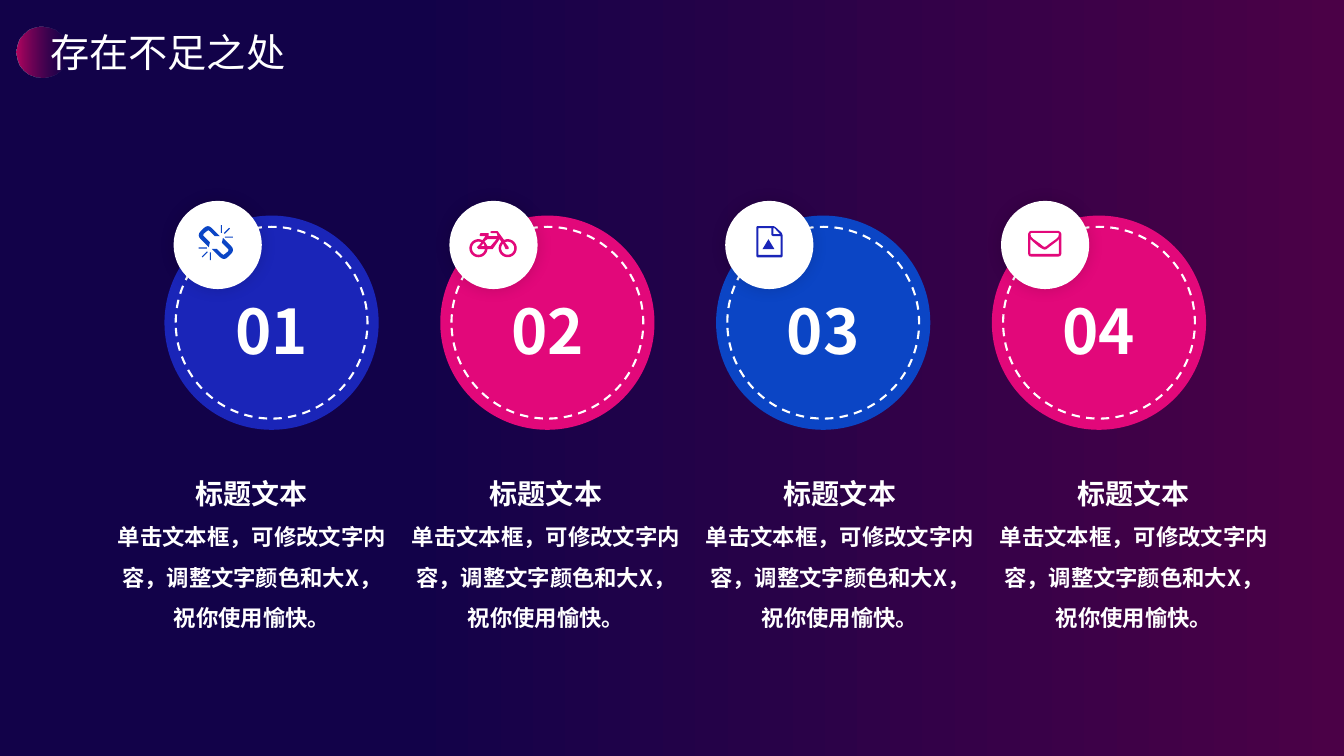
from math import cos, radians, sin

from lxml import etree
from pptx import Presentation
from pptx.dml.color import RGBColor
from pptx.enum.dml import MSO_LINE_DASH_STYLE as Dash
from pptx.enum.shapes import MSO_SHAPE as Shape
from pptx.enum.text import MSO_ANCHOR as Anchor, MSO_AUTO_SIZE as AutoSize, PP_ALIGN as Align
from pptx.oxml.ns import qn
from pptx.util import Pt

FONT = "Noto Sans CJK SC"
WHITE, NAVY, BLUE, PINK = "FFFFFF", "1A25B8", "0B45C5", "E2087A"
TITLE = "存在不足之处"
HEADING = "标题文本"
DETAIL = "单击文本框，可修改文字内容，调整文字颜色和大X，祝你使用愉快。"

FIRST_DISC, DISC_STEP, DISC_TOP, DISC_SIZE = 117.5, 197, 154, 153
RING_INSET = 8
BADGE_SHIFT, BADGE_TOP, BADGE_SIZE = 6.5, 143.5, 63
NUMBER_TOP, NUMBER_WIDTH, NUMBER_HEIGHT = 206, 132, 60.5
FIRST_TEXT, TEXT_STEP, TEXT_TOP, TEXT_WIDTH, TEXT_HEIGHT = 75.5, 210, 324.7, 209, 131
ICON_UNIT = 0.72


def arc(x, y, radius, start, end, steps=24):
    angles = [radians(start + (end - start) * step / steps) for step in range(steps + 1)]
    return [(x + radius * cos(angle), y + radius * sin(angle)) for angle in angles]


def half_turn(contour, width, height):
    return [(width - x, height - y) for x, y in contour]


# Icon contours, in units of ICON_UNIT
HALF_CHAIN = [
    [(16, 11), (11, 6), (9.5, 5), (8, 6), (5, 8.5), (4.3, 10), (5, 11), (11, 17),
     (10, 22), (9, 21), (2, 14), (0.5, 12), (0, 10), (0.5, 8), (2, 6), (5, 3),
     (7, 1.5), (9, 1), (11, 1.5), (13, 3), (20, 10), (21, 11)],
    [(0, 22.2), (8, 22.2), (8, 23.2), (0, 23.2)],
    [(3, 31.2), (8.2, 26), (9, 26.8), (3.8, 32)],
    [(11, 27), (12, 27), (12, 34.6), (11, 34.6)],
]
CHAIN = HALF_CHAIN + [half_turn(contour, 34, 34.6) for contour in HALF_CHAIN]
BICYCLE = [
    arc(38, 17, 9, -114, 225) + [(30, 8), (23, 18), (18, 18)] + arc(9, 17, 9, 6, 297)
    + [(16, 5), (11, 5), (10, 4), (11, 2), (19, 2), (19, 5), (28, 5), (27, 2),
       (22, 2), (20.5, 1), (22, 0), (28, 0)],
    [(9, 18), (7.5, 16)] + arc(9, 17, 6.5, -62, -352),
    [(15, 15), (14, 12), (11.5, 15)],
    [(27, 8), (18, 8), (15, 10), (18, 15), (21, 15)],
    [(39, 16), (39, 17.5), (38, 18), (36, 18)] + arc(38, 17, 6.5, 225, -115),
]
DOCUMENT = [
    [(26, 9), (26, 30), (25, 31), (1, 31), (0, 30), (0, 1), (1, 0), (17, 0),
     (19, 1), (25, 6.5)],
    [(24, 10), (16.5, 10), (15, 9), (15, 2), (2, 2), (2, 28.5), (24, 28.5)],
    [(17, 8), (24, 8), (23, 7.5), (18, 2), (17, 2)],
    [(12, 13), (18, 23), (6, 23)],
]
ENVELOPE = [
    [(33, 23), (32, 25), (30, 25.6), (3, 25.6), (1, 25), (0, 23), (0, 3), (1, 1),
     (3, 0), (30, 0), (32, 1), (33, 3)],
    [(30, 2.2), (3, 2.2), (2.2, 3), (3, 6), (5, 8), (12, 13), (15, 15.5), (16.5, 16),
     (18, 15.5), (21, 13), (28, 8), (30, 6), (30.6, 3)],
    [(30.6, 8), (29, 10), (21, 16), (18, 18.3), (16.5, 18.7), (15, 18.3), (11, 16),
     (4, 10), (2.2, 8), (2.2, 23), (30.6, 23)],
]
# Number, disc colour, icon colour, icon contours, icon offset within its badge
ITEMS = [
    ("01", NAVY, BLUE, CHAIN, (18, 17.3)),
    ("02", PINK, PINK, BICYCLE, (14.3, 21.6)),
    ("03", BLUE, NAVY, DOCUMENT, (22.3, 18)),
    ("04", PINK, PINK, ENVELOPE, (19.4, 21.4)),
]


def color(value):
    return RGBColor.from_string(value)


def set_gradient(fill, *stops):
    fill.gradient()
    fill.gradient_angle = 0
    for stop, (position, value) in zip(fill.gradient_stops, stops):
        stop.position = position
        stop.color.rgb = color(value)


def add_circle(page, left, top, size, fill=None):
    circle = page.shapes.add_shape(Shape.OVAL, Pt(left), Pt(top), Pt(size), Pt(size))
    circle.shadow.inherit = False
    circle.line.fill.background()
    if fill:
        circle.fill.solid()
        circle.fill.fore_color.rgb = color(fill)
    else:
        circle.fill.background()
    return circle


def add_glow(shape):
    """Add a soft, centred black shadow."""
    effects = shape._element.spPr.find(qn("a:effectLst"))
    shadow = etree.SubElement(effects, qn("a:outerShdw"), blurRad=str(Pt(11)), dist="0",
                              dir="0", algn="ctr", rotWithShape="0")
    black = etree.SubElement(shadow, qn("a:srgbClr"), val="000000")
    etree.SubElement(black, qn("a:alpha"), val="15000")


def add_icon(page, left, top, contours, fill):
    fine = [[(x * 100, y * 100) for x, y in contour] for contour in contours]
    builder = page.shapes.build_freeform(*fine[0][0], scale=Pt(ICON_UNIT) / 100)
    for index, contour in enumerate(fine):
        if index:
            builder.move_to(*contour[0])
        builder.add_line_segments(contour[1:], close=True)
    icon = builder.convert_to_shape(Pt(left), Pt(top))
    icon.shadow.inherit = False
    icon.fill.solid()
    icon.fill.fore_color.rgb = color(fill)
    icon.line.fill.background()


def write(box, lines, bold=True, align=Align.CENTER, spacing=None):
    """Fill a box with (text, size) lines."""
    frame = box.text_frame
    frame.text = "\n".join(text for text, size in lines)
    frame.word_wrap = True
    frame.auto_size = AutoSize.SHAPE_TO_FIT_TEXT
    frame.vertical_anchor = Anchor.TOP
    for para, (text, size) in zip(frame.paragraphs, lines):
        para.alignment = align
        para.line_spacing = spacing
        span = para.runs[0]
        span.font.name = FONT
        span.font.size = Pt(size)
        span.font.bold = bold
        span.font.color.rgb = color(WHITE)
        latin = span.font._element.find(qn("a:latin"))
        latin.addnext(latin.makeelement(qn("a:ea"), {"typeface": FONT}))


def add_text(page, left, top, width, height, lines, spacing=None):
    box = page.shapes.add_textbox(Pt(left), Pt(top), Pt(width), Pt(height))
    write(box, lines, spacing=spacing)


def add_header(page):
    title = page.shapes.title
    title.left, title.top, title.width, title.height = Pt(28.8), Pt(16.6), Pt(189.4), Pt(41)
    write(title, [(TITLE, 28)], bold=False, align=Align.LEFT, spacing=1.0)
    accent = add_circle(page, 11.5, 18.9, 36.5)
    set_gradient(accent.fill, (0, "B30660"), (1, "570152"))
    end_color = accent._element.spPr.findall(".//" + qn("a:srgbClr"))[-1]
    etree.SubElement(end_color, qn("a:alpha"), val="0")
    title._element.addprevious(accent._element)


def add_item(page, index, number, disc_fill, icon_fill, contours, offset):
    left = FIRST_DISC + index * DISC_STEP
    add_circle(page, left, DISC_TOP, DISC_SIZE, disc_fill)
    ring = add_circle(page, left + RING_INSET, DISC_TOP + RING_INSET, DISC_SIZE - 2 * RING_INSET)
    ring.line.color.rgb = color(WHITE)
    ring.line.width = Pt(1.5)
    ring.line.dash_style = Dash.DASH
    badge_left = left + BADGE_SHIFT
    add_glow(add_circle(page, badge_left, BADGE_TOP, BADGE_SIZE, WHITE))
    add_icon(page, badge_left + offset[0], BADGE_TOP + offset[1], contours, icon_fill)
    add_text(page, left + (DISC_SIZE - NUMBER_WIDTH) / 2, NUMBER_TOP, NUMBER_WIDTH,
             NUMBER_HEIGHT, [(number, 44)])
    add_text(page, FIRST_TEXT + index * TEXT_STEP, TEXT_TOP, TEXT_WIDTH, TEXT_HEIGHT,
             [(HEADING, 20), (DETAIL, 16)], spacing=1.5)


def main():
    deck = Presentation()
    deck.slide_width, deck.slide_height = Pt(960), Pt(540)
    page = deck.slides.add_slide(deck.slide_layouts[5])
    set_gradient(page.background.fill, (0.3, "120249"), (1, "4B0147"))
    add_header(page)
    for index, item in enumerate(ITEMS):
        add_item(page, index, *item)
    deck.save("out.pptx")


if __name__ == "__main__":
    main()
